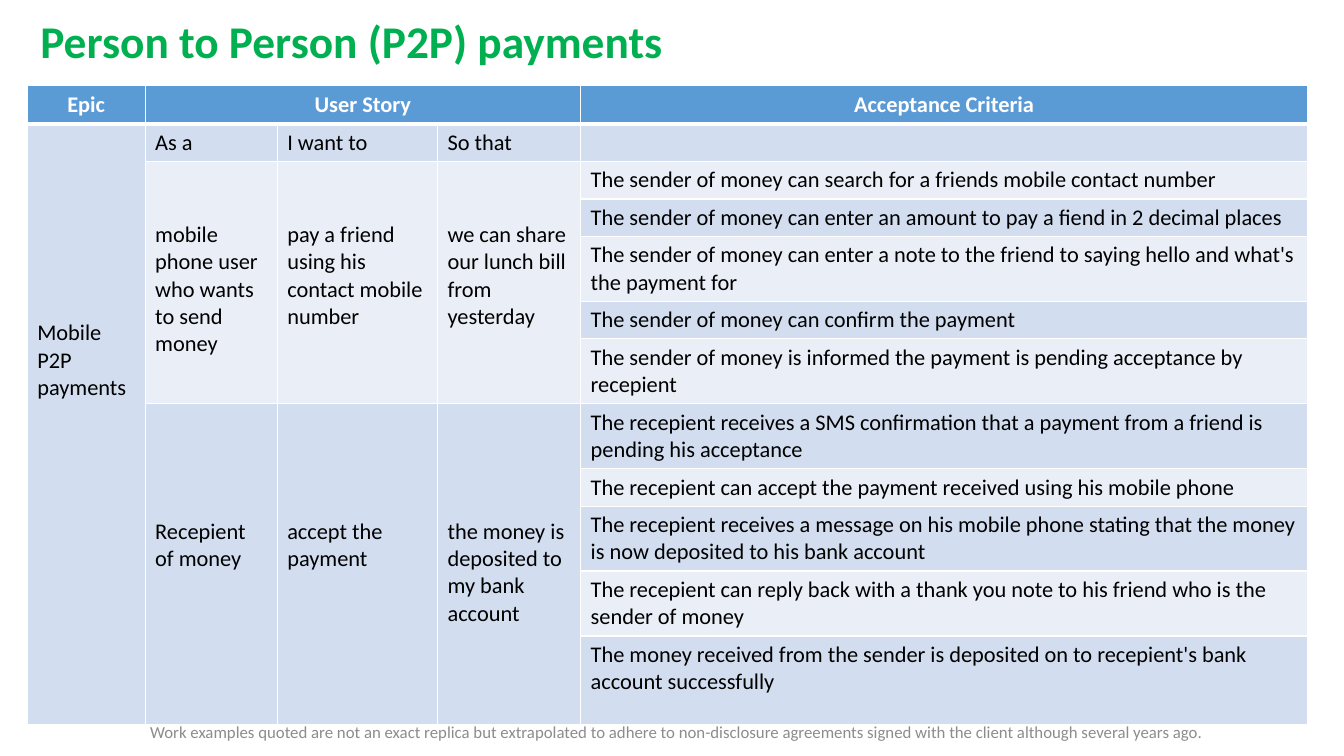
from dataclasses import dataclass

import pptx
import pptx.dml.color
import pptx.enum.text
import pptx.oxml
import pptx.oxml.ns
import pptx.util
from pptx.util import Inches

COLORS = {"title": "00B050", "header": "5B9BD5", "dark_band": "D2DEEF", "light_band": "EAEFF7",
          "white": "FFFFFF", "black": "000000", "note": "8C8C8C"}
FONT = "Calibri"
TEXT_SIZE = 16
LINE_HEIGHT = 0.27
CELL_PADDING = 0.05
COLUMN_WIDTHS = [1.17, 1.31, 1.59, 1.42, 7.21]
HEADER_HEIGHT = 0.38
LAST_ROW_EXTRA = 0.24
ALIGN = pptx.enum.text.PP_ALIGN
MIDDLE = pptx.enum.text.MSO_ANCHOR.MIDDLE


@dataclass(frozen=True)
class Criterion:
    """An acceptance criterion and the number of lines it takes."""
    text: str
    lines: int


@dataclass(frozen=True)
class Story:
    """A user story: its three clauses, its criteria and its drop from the top in lines."""
    clauses: tuple[str, str, str]
    band: str
    drop: int
    criteria: tuple[Criterion, ...]


STORIES = [
    Story(("mobile phone user who wants to send money",
           "pay a friend using his contact mobile number",
           "we can share our lunch bill from yesterday"), "light_band", 2, (
        Criterion("The sender of money can search for a friends mobile contact number", 1),
        Criterion("The sender of money can enter an amount to pay a fiend in 2 decimal places", 1),
        Criterion("The sender of money can enter a note to the friend to saying hello "
                  "and what's the payment for", 2),
        Criterion("The sender of money can confirm the payment", 1),
        Criterion("The sender of money is informed the payment is pending acceptance "
                  "by recepient", 2))),
    Story(("Recepient of money", "accept the payment",
           "the money is deposited to my bank account"), "dark_band", 4, (
        Criterion("The recepient receives a SMS confirmation that a payment from a friend "
                  "is pending his acceptance", 2),
        Criterion("The recepient can accept the payment received using his mobile phone", 1),
        Criterion("The recepient receives a message on his mobile phone stating that the money "
                  "is now deposited to his bank account", 2),
        Criterion("The recepient can reply back with a thank you note to his friend "
                  "who is the sender of money", 2),
        Criterion("The money received from the sender is deposited on to recepient's "
                  "bank account successfully", 2))),
]


def rgb(name: str) -> pptx.dml.color.RGBColor:
    """Look up a colour by its role."""
    return pptx.dml.color.RGBColor.from_string(COLORS[name])


def write(frame, text: str, *, size: float = TEXT_SIZE, color: str = "black",
          bold: bool = False, align=ALIGN.LEFT, spacing: float = 1.0) -> None:
    """Put one formatted paragraph in a text frame."""
    frame.word_wrap = True
    paragraph = frame.paragraphs[0]
    paragraph.alignment = align
    paragraph.line_spacing = spacing
    run = paragraph.add_run()
    run.text = text
    run.font.name = FONT
    run.font.size = pptx.util.Pt(size)
    run.font.bold = bold
    run.font.color.rgb = rgb(color)


def set_borders(cell, widths: dict[str, float]) -> None:
    """Draw white cell borders; the keys of widths are sides L, R, T, B in that order."""
    properties = cell._tc.get_or_add_tcPr()
    for index, (side, points) in enumerate(widths.items()):
        line = pptx.oxml.parse_xml(
            f'<a:ln{side} {pptx.oxml.ns.nsdecls("a")} w="{pptx.util.Pt(points)}">'
            f'<a:solidFill><a:srgbClr val="{COLORS["white"]}"/></a:solidFill></a:ln{side}>')
        properties.insert(index, line)


def style_cell(cell, band: str, header: bool) -> None:
    """Fill and border a cell that has no text yet."""
    cell.fill.solid()
    cell.fill.fore_color.rgb = rgb(band)
    cell.margin_top = cell.margin_bottom = 0
    set_borders(cell, {"L": 1, "R": 1, "T": 1, "B": 3} if header else {"L": 1, "R": 1, "B": 1})


def fill_cell(cell, text: str, drop: int = 0, **text_format) -> None:
    """Write a cell, lowered by a number of text lines."""
    cell.margin_top = Inches(CELL_PADDING + drop * LINE_HEIGHT)
    cell.margin_bottom = Inches(CELL_PADDING)
    write(cell.text_frame, text, **text_format)


def add_story_table(slide) -> None:
    """Add the table of epic, user stories and acceptance criteria."""
    line_counts = [1] + [criterion.lines for story in STORIES for criterion in story.criteria]
    heights = [HEADER_HEIGHT] + [2 * CELL_PADDING + n * LINE_HEIGHT for n in line_counts]
    heights[-1] += LAST_ROW_EXTRA
    table = slide.shapes.add_table(len(heights), len(COLUMN_WIDTHS), Inches(0.27), Inches(0.85),
                                   Inches(sum(COLUMN_WIDTHS)), Inches(sum(heights))).table
    table.horz_banding = False
    for column, width in zip(table.columns, COLUMN_WIDTHS):
        column.width = Inches(width)
    for row_index, (row, height) in enumerate(zip(table.rows, heights)):
        row.height = Inches(height)
        header = row_index == 0
        row_band = "header" if header else ("dark_band" if row_index % 2 else "light_band")
        for column_index, cell in enumerate(row.cells):
            style_cell(cell, "dark_band" if column_index == 0 and not header else row_band, header)

    table.cell(0, 1).merge(table.cell(0, 3))
    for column_index, heading in {0: "Epic", 1: "User Story", 4: "Acceptance Criteria"}.items():
        fill_cell(table.cell(0, column_index), heading, color="white", bold=True,
                  align=ALIGN.CENTER)
    table.cell(1, 0).merge(table.cell(len(heights) - 1, 0))
    fill_cell(table.cell(1, 0), "Mobile P2P payments", drop=7)
    for column_index, label in enumerate(("As a", "I want to", "So that"), start=1):
        fill_cell(table.cell(1, column_index), label)

    first_row = 2
    for story in STORIES:
        next_row = first_row + len(story.criteria)
        for column_index, clause in enumerate(story.clauses, start=1):
            for row_index in range(first_row, next_row):
                table.cell(row_index, column_index).fill.fore_color.rgb = rgb(story.band)
            clause_cell = table.cell(first_row, column_index)
            clause_cell.merge(table.cell(next_row - 1, column_index))
            fill_cell(clause_cell, clause, drop=story.drop)
        for row_index, criterion in enumerate(story.criteria, start=first_row):
            fill_cell(table.cell(row_index, 4), criterion.text)
        first_row = next_row


def main() -> None:
    """Build and save the slide."""
    deck = pptx.Presentation()
    deck.slide_width, deck.slide_height = Inches(13.33), Inches(7.5)
    slide = deck.slides.add_slide(deck.slide_layouts.get_by_name("Title Only"))

    title = slide.shapes.title
    title.left, title.top, title.width, title.height = map(Inches, (0.3, 0.11, 11.5, 0.65))
    title.text_frame.auto_size = pptx.enum.text.MSO_AUTO_SIZE.NONE
    title.text_frame.vertical_anchor = MIDDLE
    write(title.text_frame, "Person to Person (P2P) payments", size=32.4, color="title",
          bold=True, spacing=0.9)

    add_story_table(slide)

    disclaimer = slide.shapes.add_textbox(*map(Inches, (0.23, 7.15, 12.97, 0.23))).text_frame
    disclaimer.vertical_anchor = MIDDLE
    disclaimer.margin_top = disclaimer.margin_bottom = 0
    write(disclaimer, "Work examples quoted are not an exact replica but extrapolated to adhere to "
          "non-disclosure agreements signed with the client although several years ago.",
          size=12, color="note", align=ALIGN.CENTER)
    deck.save("out.pptx")


main()
